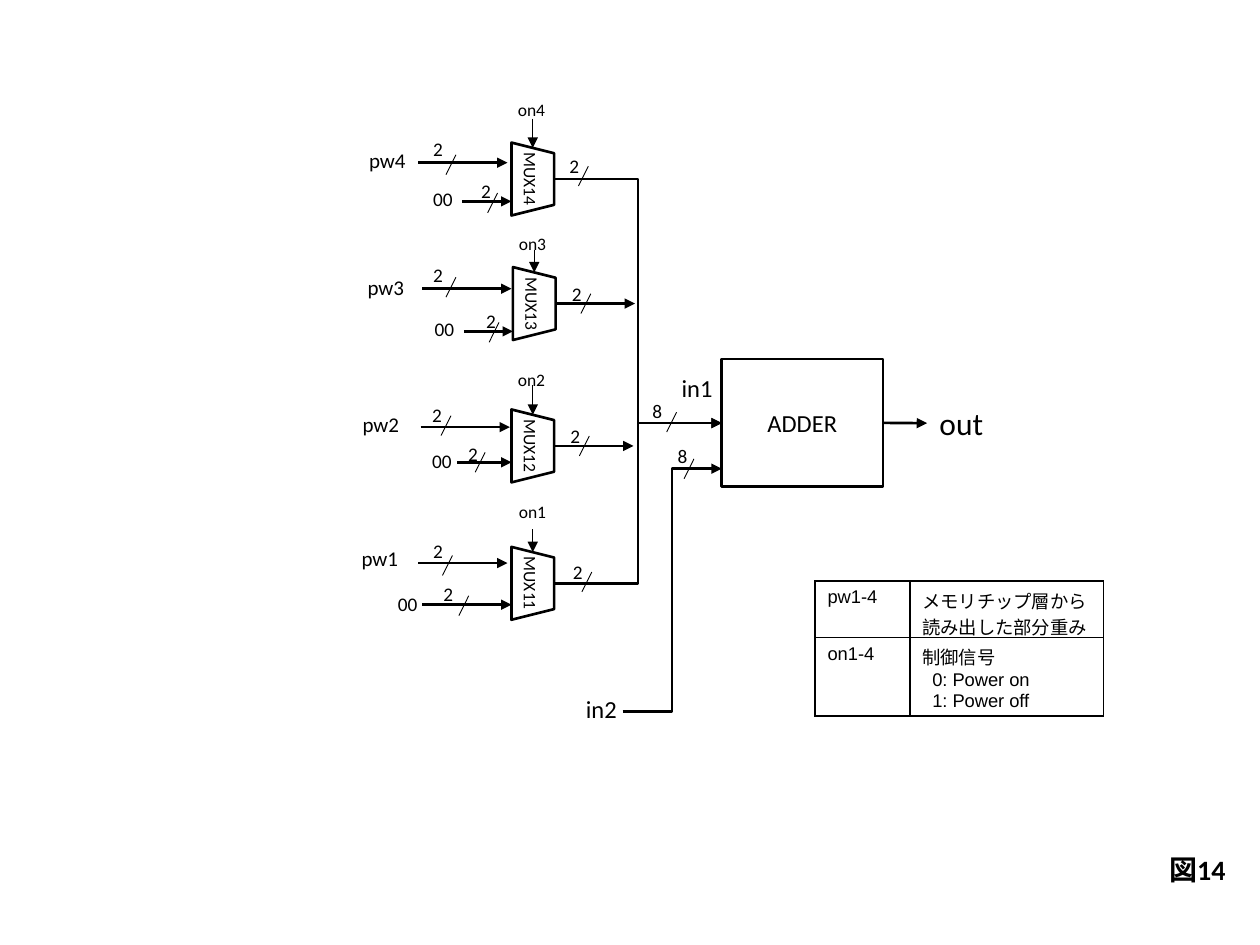
import pptx
import pptx.dml.color
import pptx.enum.shapes
import pptx.enum.text
import pptx.oxml
import pptx.oxml.ns
import pptx.util
from pptx.util import Cm

COLORS = {"ink": "000000"}
THICK, THIN = 1.5, 0.5
MUX_LENGTH, MUX_DEPTH = 1.47, 0.86
SLASH_WIDTH, SLASH_HEIGHT = 0.2, 0.4
STRAIGHT = pptx.enum.shapes.MSO_CONNECTOR.STRAIGHT
ELBOW = pptx.enum.shapes.MSO_CONNECTOR.ELBOW
ALIGN = pptx.enum.text.PP_ALIGN
MIDDLE = pptx.enum.text.MSO_ANCHOR.MIDDLE

# Positions in cm. Each "bus" holds the slash corner and the digit corner.
MUXES = [
    {"number": 4, "center": (10.74, 3.61), "on": (10.19, 1.88), "on_from": 2.39,
     "pw": (7.19, 2.84), "pw_wire": (8.43, 3.28), "pw_bus": (8.99, 3.12, 8.48, 2.64),
     "zero": (8.48, 3.66), "zero_wire": (9.32, 4.06), "zero_bus": (9.83, 3.89, 9.45, 3.48),
     "out_slash": (11.66, 3.35)},
    {"number": 3, "center": (10.77, 6.12), "on": (10.21, 4.57), "on_from": 5.03,
     "pw": (7.16, 5.41), "pw_wire": (8.51, 5.82), "pw_bus": (8.99, 5.59, 8.48, 5.18),
     "zero": (8.51, 6.27), "zero_wire": (9.35, 6.68), "zero_bus": (9.86, 6.5, 9.55, 6.12),
     "out_slash": (11.71, 5.92)},
    {"number": 2, "center": (10.74, 8.99), "on": (10.19, 7.32), "on_from": 7.77,
     "pw": (7.06, 8.18), "pw_wire": (8.48, 8.61), "pw_bus": (8.89, 8.38, 8.46, 8.0),
     "zero": (8.46, 8.94), "zero_wire": (9.22, 9.32), "zero_bus": (9.58, 9.12, 9.19, 8.79),
     "out_slash": (11.68, 8.79)},
    {"number": 1, "center": (10.74, 11.76), "on": (10.21, 9.98), "on_from": 10.67,
     "pw": (7.04, 10.87), "pw_wire": (8.43, 11.35), "pw_bus": (8.92, 11.2, 8.48, 10.74),
     "zero": (7.77, 11.81), "zero_wire": (8.51, 12.19), "zero_bus": (9.25, 12.01, 8.69, 11.61),
     "out_slash": (11.73, 11.53)},
]
LEGEND = [
    ("pw1-4", "メモリチップ層から読み出した部分重み"),
    ("on1-4", "制御信号\n0: Power on\n1: Power off"),
]


def ink():
    return pptx.dml.color.RGBColor.from_string(COLORS["ink"])


def write_text(frame, text, size=11, font="Calibri", bold=False, align=ALIGN.LEFT,
               anchor=None, wrap=None):
    if wrap is not None:
        frame.word_wrap = wrap
    if anchor is not None:
        frame.vertical_anchor = anchor
    frame.text = text
    for paragraph in frame.paragraphs:
        paragraph.alignment = align
        paragraph.font.size = pptx.util.Pt(size)
        paragraph.font.name = font
        paragraph.font.bold = bold
        paragraph.font.color.rgb = ink()


def add_label(slide, text, x, y, width, height, **style):
    box = slide.shapes.add_textbox(Cm(x), Cm(y), Cm(width), Cm(height))
    write_text(box.text_frame, text, wrap=False, **style)


def add_wire(slide, start, end, kind=STRAIGHT, weight=THICK, arrow=True):
    wire = slide.shapes.add_connector(kind, *(Cm(v) for v in (*start, *end)))
    wire.line.color.rgb = ink()
    wire.line.width = pptx.util.Pt(weight)
    if arrow:
        tail = pptx.oxml.parse_xml(
            f'<a:tailEnd {pptx.oxml.ns.nsdecls("a")} type="triangle"/>')
        wire.line._get_or_add_ln().append(tail)
    wire._element.spPr.append(
        pptx.oxml.parse_xml(f'<a:effectLst {pptx.oxml.ns.nsdecls("a")}/>'))
    return wire


def add_bus_width(slide, digit, x, y, digit_x, digit_y):
    """Slash across a wire with the number of bits beside it."""
    add_wire(slide, (x, y + SLASH_HEIGHT), (x + SLASH_WIDTH, y), weight=THIN, arrow=False)
    add_label(slide, digit, digit_x, digit_y, 0.74, 0.74)


def add_block(slide, preset, text, x, y, width, height, size):
    block = slide.shapes.add_shape(preset, Cm(x), Cm(y), Cm(width), Cm(height))
    block.shadow.inherit = False
    block.fill.background()
    block.line.color.rgb = ink()
    block.line.width = pptx.util.Pt(THICK)
    write_text(block.text_frame, text, size=size, align=ALIGN.CENTER, anchor=MIDDLE)
    return block


def add_mux(slide, mux, adder_in):
    number = mux["number"]
    x, y = mux["center"]
    left, right = x - MUX_DEPTH / 2, x + MUX_DEPTH / 2
    body = add_block(slide, pptx.enum.shapes.MSO_SHAPE.TRAPEZOID, f"MUX1{number}",
                     x - MUX_LENGTH / 2, y - MUX_DEPTH / 2, MUX_LENGTH, MUX_DEPTH, 10)
    body.rotation = 90
    body.text_frame.margin_left = body.text_frame.margin_right = Cm(0.05)

    add_label(slide, f"on{number}", *mux["on"], 1.09, 0.69, size=10)
    add_wire(slide, (x, mux["on_from"]), (x, y - 0.63), weight=THIN)

    add_label(slide, f"pw{number}", *mux["pw"], 1.47, 0.76, size=12)
    wire_x, wire_y = mux["pw_wire"]
    add_wire(slide, (wire_x, wire_y), (wire_x + 1.8, wire_y))
    add_bus_width(slide, "2", *mux["pw_bus"])

    add_label(slide, "00", *mux["zero"], 0.94, 0.74)
    add_wire(slide, mux["zero_wire"], (left, mux["zero_wire"][1]))
    add_bus_width(slide, "2", *mux["zero_bus"])

    if number in (1, 4):
        add_wire(slide, (right, y), adder_in, kind=ELBOW)
    else:
        add_wire(slide, (right, y), (right + 1.6, y))
    slash_x, slash_y = mux["out_slash"]
    add_bus_width(slide, "2", slash_x, slash_y, slash_x - 0.43, slash_y - 0.36)


def add_adder(slide, adder_in):
    adder = add_block(slide, pptx.enum.shapes.MSO_SHAPE.RECTANGLE, "ADDER",
                      14.55, 7.24, 3.25, 2.57, 14)
    add_label(slide, "in1", 13.49, 7.39, 1.14, 0.86, size=14)
    add_bus_width(slide, "8", 13.44, 8.31, 12.9, 7.92)

    add_label(slide, "in2", 11.56, 13.87, 1.37, 0.86, size=14)
    add_wire(slide, (12.55, 14.35), (adder_in[0], 9.45), kind=ELBOW)
    add_bus_width(slide, "8", 13.79, 9.25, 13.41, 8.84)

    result = add_wire(slide, (17.8, adder_in[1]), (18.69, adder_in[1]))
    result.begin_connect(adder, 3)
    add_label(slide, "out", 18.69, 8.03, 1.4, 1.02, size=18)


def outline_cell(cell):
    properties = cell._tc.get_or_add_tcPr()
    for side in ("lnL", "lnR", "lnT", "lnB"):
        properties.append(pptx.oxml.parse_xml(
            f'<a:{side} {pptx.oxml.ns.nsdecls("a")} w="12700"><a:solidFill>'
            f'<a:srgbClr val="{COLORS["ink"]}"/></a:solidFill></a:{side}>'))
    cell.fill.background()


def add_legend(slide):
    legend = slide.shapes.add_table(2, 2, Cm(16.43), Cm(11.71), Cm(5.82), Cm(2.72)).table
    legend.first_row = legend.horz_banding = False
    for column, width in zip(legend.columns, (1.91, 3.91)):
        column.width = Cm(width)
    for row, height, texts in zip(legend.rows, (1.14, 1.58), LEGEND):
        row.height = Cm(height)
        for cell, text in zip(row.cells, texts):
            outline_cell(cell)
            cell.margin_bottom = 0
            write_text(cell.text_frame, text, size=10.5, font="Arial")
            for value_line in cell.text_frame.paragraphs[1:]:
                value_line._p.get_or_add_pPr().set("marL", str(Cm(0.2)))


def add_figure_number(slide):
    title = slide.shapes.title
    title.left, title.top, title.width, title.height = Cm(23.06), Cm(16.89), Cm(1.9), Cm(1.27)
    title.text_frame.auto_size = pptx.enum.text.MSO_AUTO_SIZE.NONE
    write_text(title.text_frame, "図14", size=16, bold=True, align=ALIGN.RIGHT, anchor=MIDDLE)


def main():
    deck = pptx.Presentation()
    deck.slide_width, deck.slide_height = Cm(25.4), Cm(19.05)
    slide = deck.slides.add_slide(deck.slide_layouts[5])
    adder_in = (14.55, 8.53)
    for mux in MUXES:
        add_mux(slide, mux, adder_in)
    add_adder(slide, adder_in)
    add_legend(slide)
    add_figure_number(slide)
    deck.save("out.pptx")


if __name__ == "__main__":
    main()
